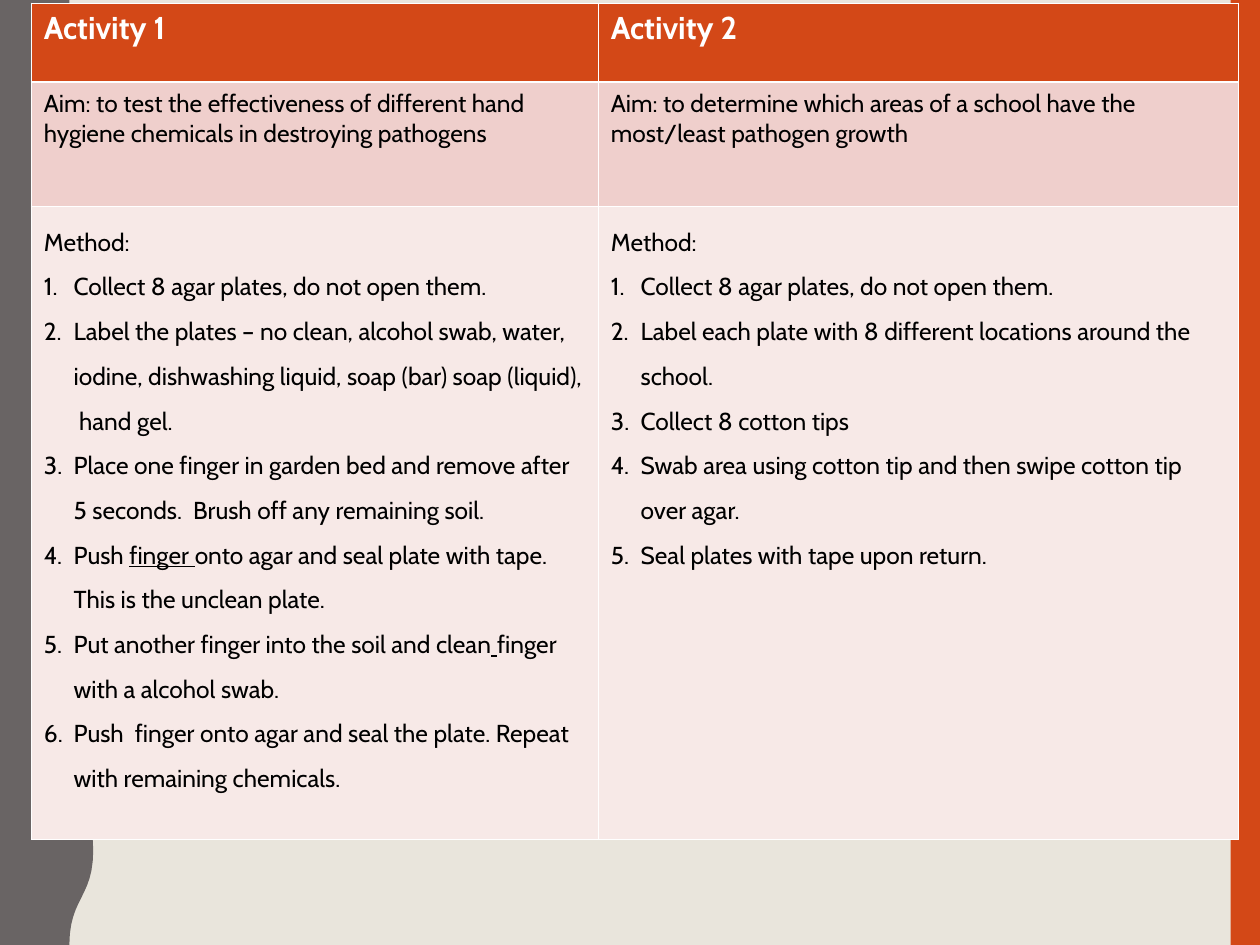
from lxml import etree
from pptx import Presentation
from pptx.dml.color import RGBColor
from pptx.enum.shapes import MSO_SHAPE
from pptx.oxml.ns import qn
from pptx.util import Cm, Pt

RECT = MSO_SHAPE.RECTANGLE
FONT = "Cabin"
COLORS = {
    "background": "E9E5DC", "accent": "D34817", "wave": "696464",
    "aim": "EFCFCC", "method": "F7E9E7", "white": "FFFFFF", "black": "000000",
}
SLIDE_W, SLIDE_H = 25.4, 19.05
THIN, THICK = 0.45, 1.47
NUMBER_INDENT = Cm(0.6)

HEADER = {"size": Pt(18), "bold": True, "name": FONT}
BODY = {"size": Pt(14), "bold": False, "name": FONT}

HEADINGS = ["Activity 1", "Activity 2"]
AIMS = [
    "Aim: to test the effectiveness of different hand hygiene chemicals "
    "in destroying pathogens",
    "Aim: to determine which areas of a school have the most/least pathogen growth",
]
# A step is a list of text pieces; every second piece is underlined
METHODS = [
    [
        ["Collect 8 agar plates, do not open them."],
        ["Label the plates – no clean, alcohol swab, water, iodine, "
         "dishwashing liquid, soap (bar) soap (liquid),  hand gel."],
        ["Place one finger in garden bed and remove after 5 seconds.  "
         "Brush off any remaining soil."],
        ["Push ", "finger ",
         "onto agar and seal plate with tape. This is the unclean plate."],
        ["Put another finger into the soil and clean", " ",
         "finger with a alcohol swab."],
        ["Push  finger onto agar and seal the plate. "
         "Repeat with remaining chemicals."],
    ],
    [
        ["Collect 8 agar plates, do not open them."],
        ["Label each plate with 8 different locations around the school."],
        ["Collect 8 cotton tips"],
        ["Swab area using cotton tip and then swipe cotton tip over agar."],
        ["Seal plates with tape upon return."],
    ],
]


def rgb(name):
    return RGBColor.from_string(COLORS[name])


def paint(sp, color):
    sp.shadow.inherit = False
    sp.fill.solid()
    sp.fill.fore_color.rgb = rgb(color)
    sp.line.fill.background()


def add_wave(slide):
    """Left band whose right edge swings between two widths in S-curves."""
    inner, outer, count, steps = 1.4, 1.88, 10, 12
    half = SLIDE_H / count
    points = []
    for i in range(count):
        start, end = (inner, outer) if i % 2 == 0 else (outer, inner)
        for j in range(1, steps + 1):
            t = j / steps
            x = start + (end - start) * (3 * t**2 - 2 * t**3)
            y = half * (i + 1.5 * t * (1 - t) + t**3)
            points.append((Cm(x), Cm(y)))
    fb = slide.shapes.build_freeform(Cm(inner), 0)
    fb.add_line_segments(points + [(0, Cm(SLIDE_H)), (0, 0)], close=True)
    paint(fb.convert_to_shape(), "wave")


def add_border(cell, widths):
    """Widths in points for the left, right, top and bottom edges."""
    tcPr = cell._tc.get_or_add_tcPr()
    for i, (side, width) in enumerate(zip("LRTB", widths)):
        ln = etree.Element(qn(f"a:ln{side}"), w=str(Pt(width)))
        fill = etree.SubElement(ln, qn("a:solidFill"))
        etree.SubElement(fill, qn("a:srgbClr"), val=COLORS["white"])
        tcPr.insert(i, ln)


def style_cell(cell, color, top=THIN, bottom=THIN):
    cell.fill.solid()
    cell.fill.fore_color.rgb = rgb(color)
    add_border(cell, (THIN, THIN, top, bottom))


def add_runs(p, pieces, fmt, color):
    for i, text in enumerate(pieces):
        r = p.add_run()
        r.text = text
        for key, value in fmt.items():
            setattr(r.font, key, value)
        r.font.color.rgb = rgb(color)
        if i % 2:
            r.font.underline = True


def number(p):
    pPr = p._p.get_or_add_pPr()
    pPr.set("marL", str(NUMBER_INDENT))
    pPr.set("indent", str(-NUMBER_INDENT))
    clr = etree.SubElement(pPr, qn("a:buClr"))
    etree.SubElement(clr, qn("a:srgbClr"), val=COLORS["black"])
    etree.SubElement(pPr, qn("a:buAutoNum"), type="arabicPeriod")


def fill_method(cell, steps):
    tf = cell.text_frame
    p = tf.paragraphs[0]
    p.line_spacing = 1.5
    add_runs(p, ["Method:"], BODY, "black")
    for pieces in steps:
        p = tf.add_paragraph()
        number(p)
        p.line_spacing = 1.5
        add_runs(p, pieces, BODY, "black")


def add_activities(slide):
    widths, heights = (11.43, 12.9), (1.6, 2.5, 12.76)
    table = slide.shapes.add_table(
        len(heights), len(widths), Cm(0.63), Cm(0.06),
        Cm(sum(widths)), Cm(sum(heights))).table
    table.horz_banding = False
    for row, height in zip(table.rows, heights):
        row.height = Cm(height)
    for c, width in enumerate(widths):
        table.columns[c].width = Cm(width)
        heading, aim, method = (table.cell(r, c) for r in range(len(heights)))
        style_cell(heading, "accent", bottom=THICK)
        add_runs(heading.text_frame.paragraphs[0], [HEADINGS[c]], HEADER, "white")
        style_cell(aim, "aim", top=THICK)
        add_runs(aim.text_frame.paragraphs[0], [AIMS[c]], BODY, "black")
        style_cell(method, "method")
        fill_method(method, METHODS[c])


def main():
    prs = Presentation()
    prs.slide_width, prs.slide_height = Cm(SLIDE_W), Cm(SLIDE_H)
    s = prs.slides.add_slide(prs.slide_layouts[6])
    s.background.fill.solid()
    s.background.fill.fore_color.rgb = rgb("background")

    # Side bands
    band = 0.59
    paint(s.shapes.add_shape(RECT, Cm(SLIDE_W - band), 0, Cm(band), Cm(SLIDE_H)),
          "accent")
    add_wave(s)

    # Activity comparison
    add_activities(s)
    prs.save("out.pptx")


if __name__ == "__main__":
    main()
